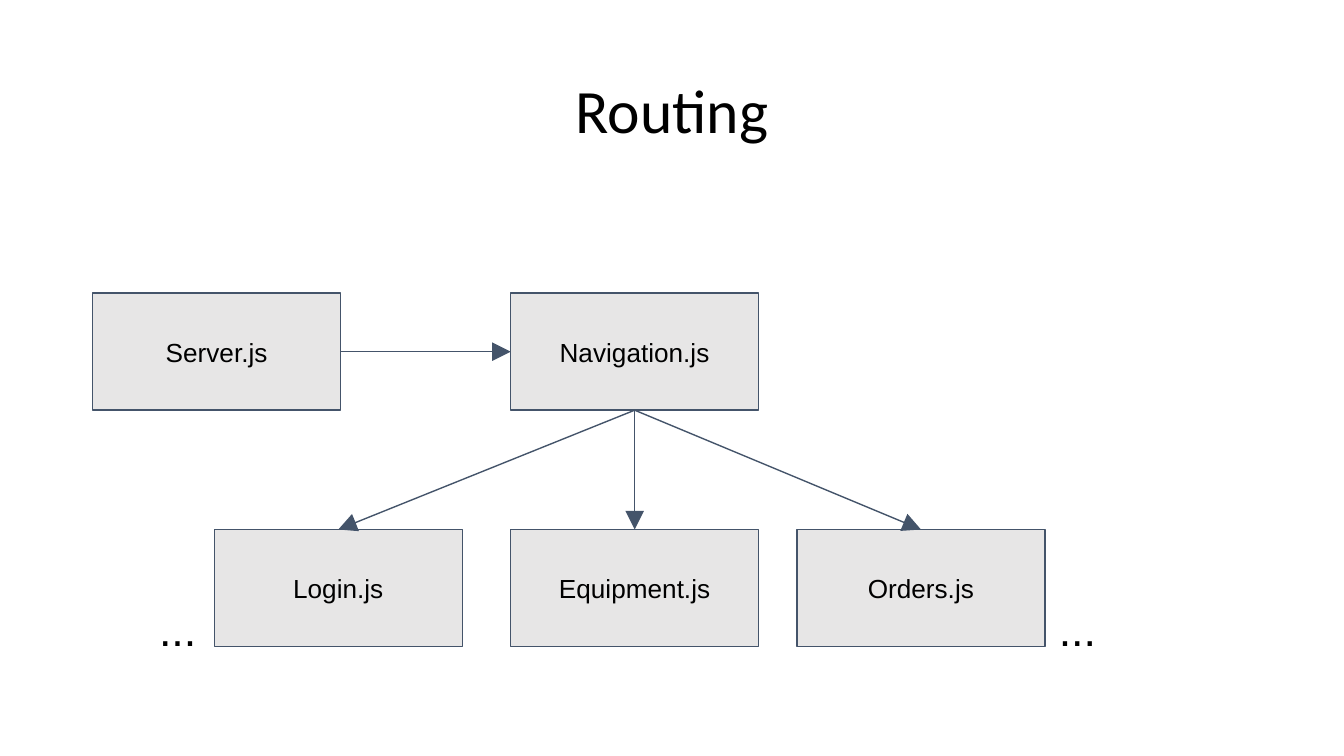
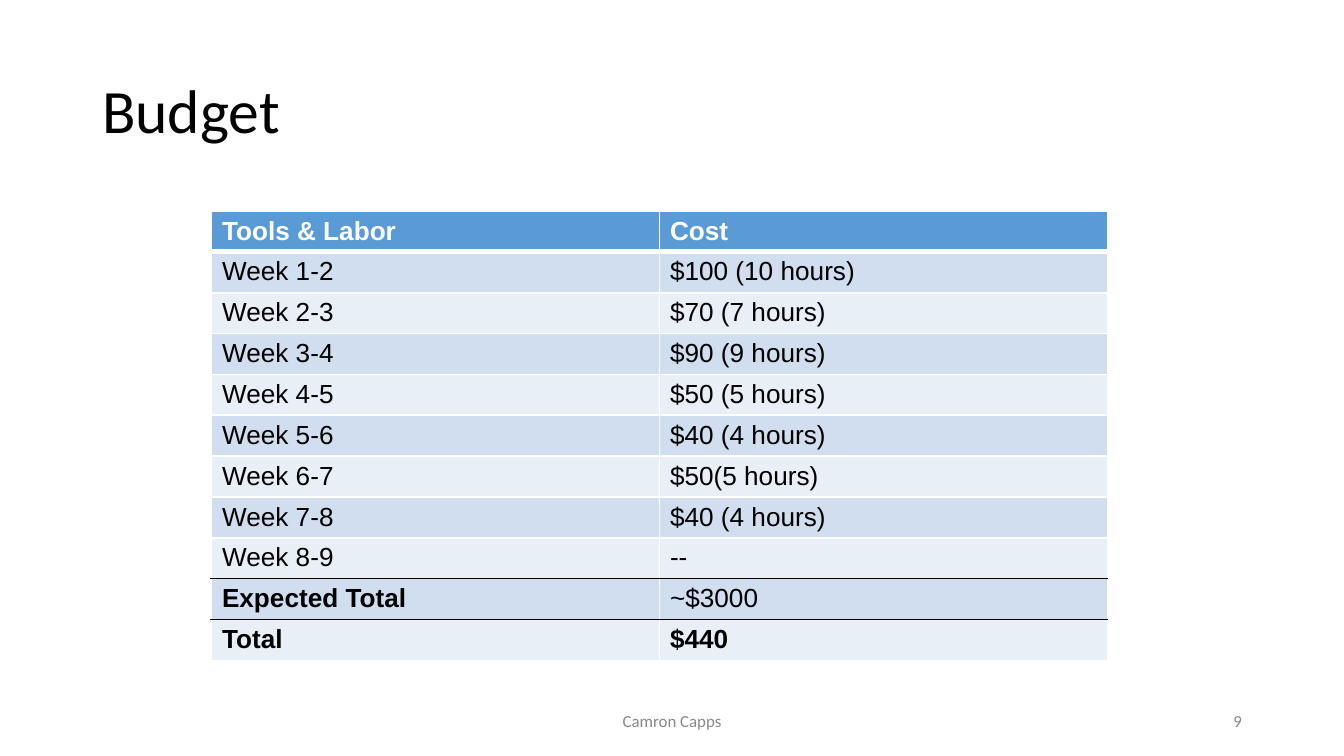
"""Build the routing diagram slide and the budget table slide."""
from typing import Any, NamedTuple

from lxml import etree
from pptx import Presentation
from pptx import util as u
from pptx.dml.color import RGBColor
from pptx.enum import shapes, text
from pptx.oxml import ns

BLACK = RGBColor(0x00, 0x00, 0x00)
WHITE = RGBColor(0xFF, 0xFF, 0xFF)
NODE_FILL = RGBColor(0xE7, 0xE6, 0xE6)
NODE_LINE = RGBColor(0x44, 0x54, 0x6A)
HEADER = RGBColor(0x5B, 0x9B, 0xD5)
BAND_DARK = RGBColor(0xD0, 0xDE, 0xEF)
BAND_LIGHT = RGBColor(0xE9, 0xEF, 0xF7)
FOOTER_GREY = RGBColor(0x88, 0x88, 0x88)

SLIDE_W = u.Inches(10)
SLIDE_H = u.Emu(SLIDE_W * 9 // 16)
GRID_COLUMNS = 100
UNIT = SLIDE_W / GRID_COLUMNS
TOP, LEFT, BOTTOM, RIGHT = range(4)
ALIGN, ANCHOR = text.PP_ALIGN, text.MSO_ANCHOR


class Box(NamedTuple):
    """A place in grid columns and rows, both one hundredth of the slide width."""
    col: float
    row: float
    width: float
    height: float

    def emu(self) -> list[u.Emu]:
        """Return left, top, width and height as lengths."""
        return [u.Emu(round(n * UNIT)) for n in self]


class Style(NamedTuple):
    """Font, paragraph and frame formats of one kind of text."""
    font: dict[str, Any]
    paragraph: dict[str, Any]
    frame: dict[str, Any]


class Node(NamedTuple):
    """A file in the routing diagram."""
    label: str
    col: float
    row: float


class Link(NamedTuple):
    """An arrow between the sides of two nodes."""
    start: str
    start_side: int
    end: str
    end_side: int


class Label(NamedTuple):
    """A free piece of text."""
    words: str
    box: Box
    style: Style


def apply(target: Any, formats: dict[str, Any]) -> None:
    """Set every attribute in formats on target."""
    for name, value in formats.items():
        setattr(target, name, value)


def font(name: str, size: float, rgb: RGBColor = BLACK, bold: bool = False) -> dict[str, Any]:
    """Return font formats, with the colour under its own key."""
    return {"name": name, "size": u.Pt(size), "bold": bold, "rgb": rgb}


def insets(side: float, end: float) -> dict[str, Any]:
    """Return margins in inches for the sides and for the top and bottom."""
    return {"margin_left": u.Inches(side), "margin_right": u.Inches(side),
            "margin_top": u.Inches(end), "margin_bottom": u.Inches(end)}


def frame(side: float, end: float, anchor: Any) -> dict[str, Any]:
    """Return the formats of a wrapping text frame."""
    return {"word_wrap": True, "auto_size": text.MSO_AUTO_SIZE.NONE,
            "vertical_anchor": anchor, **insets(side, end)}


def footer(align: Any) -> Style:
    """Return the footer style with the given alignment."""
    return Style(font("Calibri", 9, FOOTER_GREY), {"alignment": align},
                 frame(0.07, 0.04, ANCHOR.MIDDLE))


def title_style(align: Any, end: float) -> Style:
    """Return the title style with the given alignment and end margins."""
    return Style(font("Calibri", 33), {"alignment": align, "line_spacing": 0.9},
                 frame(0.07, end, ANCHOR.MIDDLE))


NODE_STYLE = Style(font("Arial", 14), {"alignment": ALIGN.CENTER},
                   frame(0.1, 0.1, ANCHOR.MIDDLE))
DOTS_STYLE = Style(font("Arial", 24), {"alignment": ALIGN.LEFT},
                   frame(0.1, 0.1, ANCHOR.TOP))

TITLE_BOX = Box(6.9, 3, 86.2, 10.9)
NODE_W, NODE_H = 18.45, 8.7
UPPER_ROW, LOWER_ROW = 21.82, 39.4
MIDDLE_COL = 38
NODES = [
    Node("Server.js", 6.9, UPPER_ROW),
    Node("Navigation.js", MIDDLE_COL, UPPER_ROW),
    Node("Login.js", 15.95, LOWER_ROW),
    Node("Equipment.js", MIDDLE_COL, LOWER_ROW),
    Node("Orders.js", 59.3, LOWER_ROW),
]
LINKS = [Link("Server.js", RIGHT, "Navigation.js", LEFT)] + [
    Link("Navigation.js", BOTTOM, n.label, TOP) for n in NODES if n.row == LOWER_ROW]
DOTS = [Label("...", Box(col, 43.8, 17, NODE_H), DOTS_STYLE) for col in (77.8, 10.85)]
FOOTERS = [
    Label("Camron Capps", Box(33.1, 52.15, 33.8, 3), footer(ALIGN.CENTER)),
    Label("9", Box(70.6, 52.15, 22.5, 3), footer(ALIGN.RIGHT)),
]

TABLE_BOX = Box(15.72, 15.7, 66.67, 33.44)
BUDGET = [
    ("Tools & Labor", "Cost"),
    ("Week 1-2", "$100 (10 hours)"),
    ("Week 2-3", "$70 (7 hours)"),
    ("Week 3-4", "$90 (9 hours)"),
    ("Week 4-5", "$50 (5 hours)"),
    ("Week 5-6", "$40 (4 hours)"),
    ("Week 6-7", "$50(5 hours)"),
    ("Week 7-8", "$40 (4 hours)"),
    ("Week 8-9", "--"),
    ("Expected Total", "~$3000"),
    ("Total", "$440"),
]
BOLD_WORDS = {*BUDGET[0], "Expected Total", *BUDGET[-1]}
RULES_BELOW = {0: (WHITE, 3), 8: (BLACK, 1), 9: (BLACK, 1)}
PLAIN_RULE = (WHITE, 1)


def write(tf: Any, words: str, style: Style) -> None:
    """Put words in a text frame and format them."""
    apply(tf, style.frame)
    p = tf.paragraphs[0]
    apply(p, style.paragraph)
    r = p.add_run()
    r.text = words
    formats = dict(style.font)
    r.font.color.rgb = formats.pop("rgb")
    apply(r.font, formats)


def add_titled_slide(prs: Any, title: str, style: Style) -> Any:
    """Add a title-only slide and fill its title."""
    s = prs.slides.add_slide(prs.slide_layouts.get_by_name("Title Only"))
    sp = s.shapes.title
    apply(sp, dict(zip(("left", "top", "width", "height"), TITLE_BOX.emu())))
    write(sp.text_frame, title, style)
    return s


def add_label(s: Any, label: Label) -> None:
    """Add a text box."""
    write(s.shapes.add_textbox(*label.box.emu()).text_frame, label.words, label.style)


def set_line(line: Any) -> None:
    """Give a line the diagram's colour and width."""
    line.color.rgb = NODE_LINE
    line.width = u.Pt(0.75)


def add_node(s: Any, node: Node) -> Any:
    """Add the rectangle of a node."""
    box = Box(node.col, node.row, NODE_W, NODE_H)
    sp = s.shapes.add_shape(shapes.MSO_SHAPE.RECTANGLE, *box.emu())
    sp.shadow.inherit = False
    sp.fill.solid()
    sp.fill.fore_color.rgb = NODE_FILL
    set_line(sp.line)
    write(sp.text_frame, node.label, NODE_STYLE)
    return sp


def add_link(s: Any, link: Link, drawn: dict[str, Any]) -> None:
    """Add an arrow joined to two nodes."""
    sp = s.shapes.add_connector(shapes.MSO_CONNECTOR.STRAIGHT, 0, 0, 0, 0)
    sp.begin_connect(drawn[link.start], link.start_side)
    sp.end_connect(drawn[link.end], link.end_side)
    set_line(sp.line)
    props = sp.element.spPr
    etree.SubElement(props.find(ns.qn("a:ln")), ns.qn("a:tailEnd"),
                     type="triangle", w="lg", len="lg")
    etree.SubElement(props, ns.qn("a:effectLst"))


def add_border(cell: Any, side: str, rgb: RGBColor, points: float) -> None:
    """Draw one side of a table cell."""
    ln = etree.SubElement(cell._tc.get_or_add_tcPr(), ns.qn(f"a:ln{side}"), w=str(int(u.Pt(points))))
    fill = etree.SubElement(ln, ns.qn("a:solidFill"))
    etree.SubElement(fill, ns.qn("a:srgbClr"), val=str(rgb))


def fill_cell(cell: Any, words: str, row: int) -> None:
    """Write and format one budget cell."""
    rules = {"L": PLAIN_RULE, "R": PLAIN_RULE,
             "T": RULES_BELOW.get(row - 1, PLAIN_RULE),
             "B": RULES_BELOW.get(row, PLAIN_RULE)}
    for side, rule in rules.items():
        add_border(cell, side, *rule)
    cell.fill.solid()
    band = BAND_DARK if row % 2 else BAND_LIGHT
    cell.fill.fore_color.rgb = band if row else HEADER
    apply(cell, insets(0.08, 0.04))
    look = font("Arial", 14, BLACK if row else WHITE, words in BOLD_WORDS)
    write(cell.text_frame, words, Style(look, {"alignment": ALIGN.LEFT}, {}))


def add_budget_table(s: Any) -> None:
    """Add the budget table with equal rows and columns."""
    table = s.shapes.add_table(len(BUDGET), len(BUDGET[0]), *TABLE_BOX.emu()).table
    for row, entries in enumerate(BUDGET):
        for col, words in enumerate(entries):
            fill_cell(table.cell(row, col), words, row)


def build_routing(prs: Any) -> None:
    """Build the routing slide."""
    s = add_titled_slide(prs, "Routing", title_style(ALIGN.CENTER, 0.07))
    drawn = {node.label: add_node(s, node) for node in NODES}
    for link in LINKS:
        add_link(s, link, drawn)
    for label in DOTS:
        add_label(s, label)


def build_budget(prs: Any) -> None:
    """Build the budget slide."""
    s = add_titled_slide(prs, "Budget", title_style(ALIGN.LEFT, 0.04))
    add_budget_table(s)
    for label in FOOTERS:
        add_label(s, label)


def main() -> None:
    """Build and save the presentation."""
    prs = Presentation()
    apply(prs, {"slide_width": SLIDE_W, "slide_height": SLIDE_H})
    build_routing(prs)
    build_budget(prs)
    prs.save("out.pptx")


if __name__ == "__main__":
    main()
